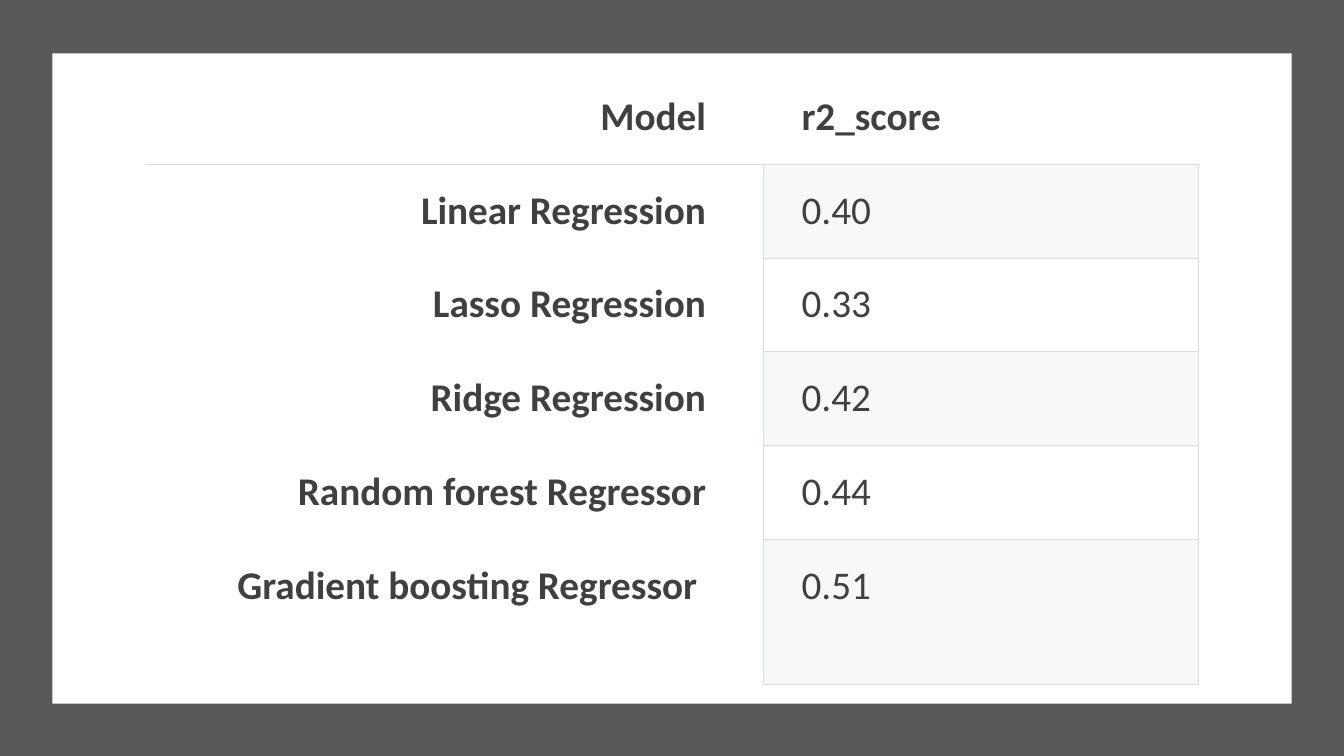
from typing import NamedTuple

from lxml import etree
from pptx import Presentation
from pptx import util as u
from pptx.dml.color import RGBColor
from pptx.enum import shapes, text
from pptx.oxml import ns

FRAME = RGBColor(0x59, 0x59, 0x59)
PANEL = RGBColor(0xFF, 0xFF, 0xFF)
INK = RGBColor(0x40, 0x40, 0x40)
RULE = RGBColor(0xD8, 0xDC, 0xDC)
BAND = RGBColor(0xD8, 0xDE, 0xDC)
BAND_ALPHA = 20000
NO_STYLE = "{2D5ABB26-0587-4C30-8999-92F81FD0307C}"


class Column(NamedTuple):
    width: float
    right_inset: float
    align: text.PP_ALIGN


class Score(NamedTuple):
    model: str
    r2: str


COLUMNS = [Column(6.13, 0.57, text.PP_ALIGN.RIGHT),
           Column(4.32, 0.14, text.PP_ALIGN.JUSTIFY)]
ROWS = [
    Score("Model", "r2_score"),
    Score("Linear Regression", "0.40"),
    Score("Lasso Regression", "0.33"),
    Score("Ridge Regression", "0.42"),
    Score("Random forest Regressor", "0.44"),
    Score("Gradient boosting Regressor ", "0.51"),
]
ROW_HEIGHT, LAST_HEIGHT = 0.93, 1.44


def add_panel(s, left: int, top: int, width: int, height: int, color: RGBColor) -> None:
    sp = s.shapes.add_shape(shapes.MSO_SHAPE.RECTANGLE, left, top, width, height)
    sp.shadow.inherit = False
    sp.fill.solid()
    sp.fill.fore_color.rgb = color
    sp.line.fill.background()


def sides_of(row: int, col: int) -> str:
    """Bordered sides: every score is boxed, the header only underlined."""
    if row == 0:
        return "B"
    if col == 1:
        return "LRTB"
    return "RT" if row == 1 else "R"


def set_borders(cell, sides: str) -> None:
    tc_pr = cell._tc.get_or_add_tcPr()
    for i, side in enumerate("LRTB"):
        ln = etree.Element(ns.qn(f"a:ln{side}"), w=str(u.Pt(0.75)))
        if side in sides:
            fill = etree.SubElement(ln, ns.qn("a:solidFill"))
            etree.SubElement(fill, ns.qn("a:srgbClr"), val=str(RULE))
        else:
            etree.SubElement(ln, ns.qn("a:noFill"))
        tc_pr.insert(i, ln)


def fill_cell(cell, row: int, col: int, value: str) -> None:
    column = COLUMNS[col]
    cell.margin_left, cell.margin_right = u.Inches(0.38), u.Inches(column.right_inset)
    cell.margin_top = cell.margin_bottom = u.Inches(0.19)
    p = cell.text_frame.paragraphs[0]
    p.text = value
    p.alignment, p.line_spacing = column.align, 1.07
    p.font.name, p.font.size = "Calibri", u.Pt(28)
    p.font.bold = row == 0 or col == 0
    p.font.color.rgb = INK
    if col == 1 and row % 2:
        cell.fill.solid()
        cell.fill.fore_color.rgb = BAND
        color = cell._tc.tcPr.find(".//" + ns.qn("a:srgbClr"))
        etree.SubElement(color, ns.qn("a:alpha"), val=str(BAND_ALPHA))
    else:
        cell.fill.background()
    set_borders(cell, sides_of(row, col))


prs = Presentation()
prs.slide_width, prs.slide_height = u.Inches(13.33), u.Inches(7.5)
s = prs.slides.add_slide(prs.slide_layouts[6])

# Dark frame and white panel
add_panel(s, 0, 0, prs.slide_width, prs.slide_height, FRAME)
add_panel(s, u.Inches(0.52), u.Inches(0.53), u.Inches(12.29), u.Inches(6.45), PANEL)

# Score table
heights = [ROW_HEIGHT] * (len(ROWS) - 1) + [LAST_HEIGHT]
table = s.shapes.add_table(
    len(ROWS), len(COLUMNS), u.Inches(1.44), u.Inches(0.7),
    u.Inches(sum(c.width for c in COLUMNS)), u.Inches(sum(heights))).table
table.first_row = table.horz_banding = False
table._tbl.tblPr.find(ns.qn("a:tableStyleId")).text = NO_STYLE
for col, column in enumerate(COLUMNS):
    table.columns[col].width = u.Inches(column.width)
for row, (score, height) in enumerate(zip(ROWS, heights)):
    table.rows[row].height = u.Inches(height)
    for col, value in enumerate(score):
        fill_cell(table.cell(row, col), row, col, value)

prs.save("out.pptx")
